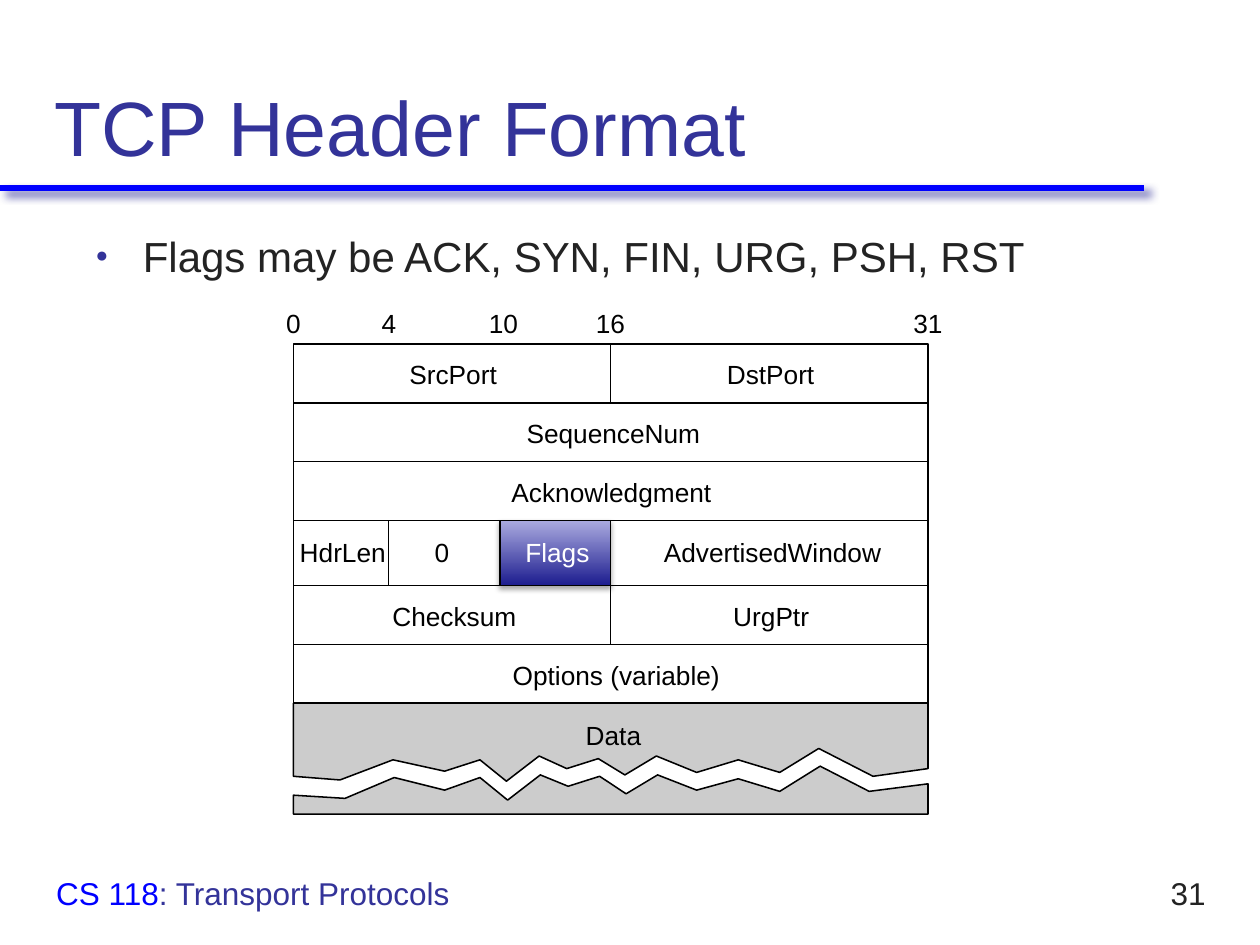
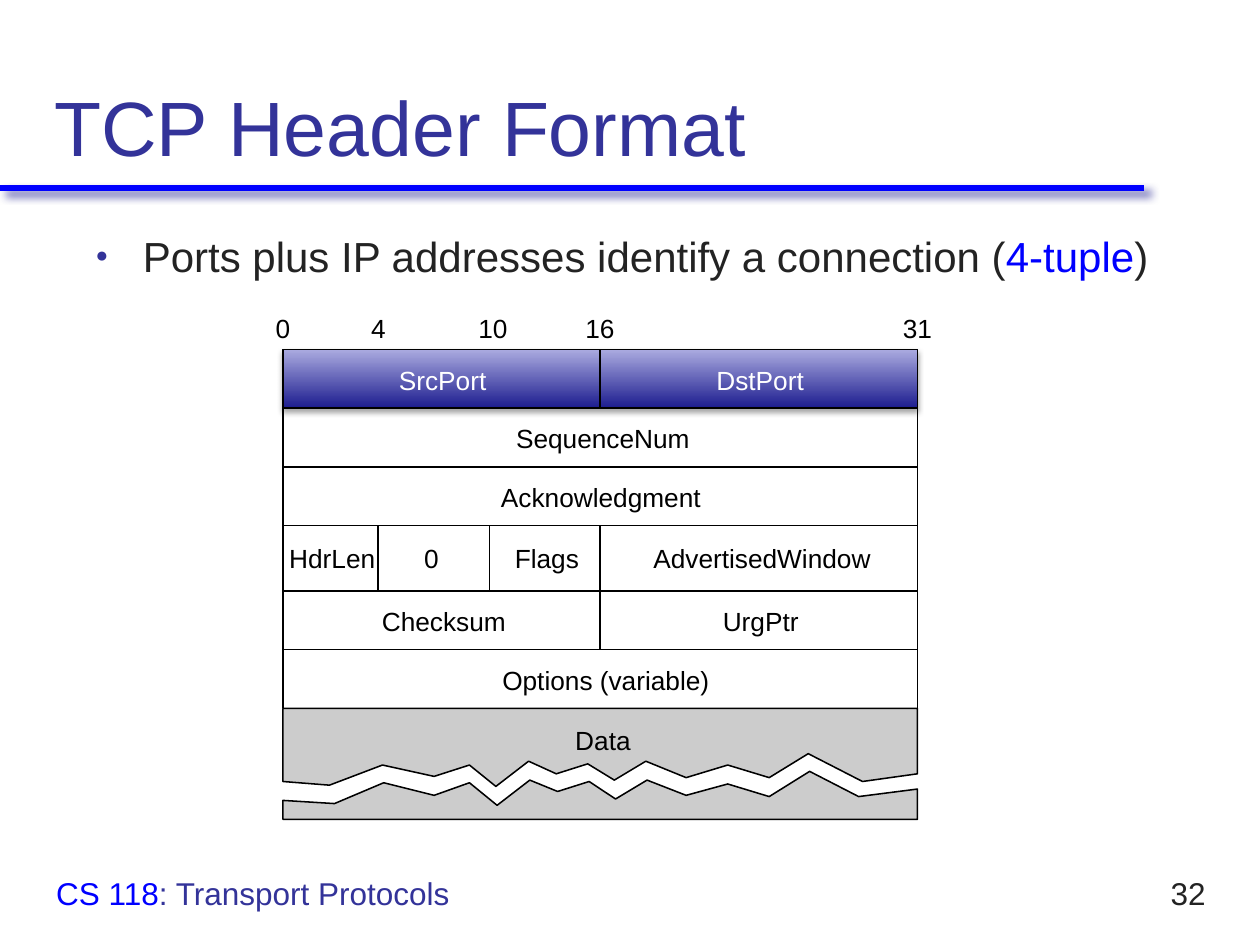
from dataclasses import dataclass
from typing import NamedTuple, Optional

import pptx
import pptx.util
from lxml import etree
from pptx.dml.color import RGBColor
from pptx.enum.shapes import MSO_CONNECTOR, MSO_SHAPE
from pptx.enum.text import MSO_ANCHOR, MSO_AUTO_SIZE, PP_ALIGN
from pptx.oxml.ns import qn

Pt = pptx.util.Pt


@dataclass(frozen=True)
class Theme:
    font: str = "Arial"
    title: str = "333399"
    accent: str = "0000FF"
    body: str = "232323"
    ink: str = "000000"
    light: str = "FFFFFF"
    data: str = "CCCCCC"
    grad_dark: str = "1D1D8F"
    grad_light: str = "ABABE0"
    box_line: str = "272781"
    title_size: float = 44
    body_size: float = 24
    footer_size: float = 18
    label_size: float = 15
    grid_line: float = 0.88


class Shadow(NamedTuple):
    color: str
    alpha: int
    blur: float
    dist: float
    angle: int


class Run(NamedTuple):
    text: str
    color: str


class Field(NamedTuple):
    """A header field: text left edge and width, measured from the grid."""
    text: str
    row: int
    x: float
    width: float


class Tick(NamedTuple):
    text: str
    x: float
    width: float


class Divider(NamedTuple):
    bit: int
    first_row: int
    end_row: int


class Highlight(NamedTuple):
    row: int
    start_bit: int
    end_bit: int
    fields: tuple[str, ...]


class Page(NamedTuple):
    number: int
    bullet: tuple[Run, ...]
    left: float
    top: float
    highlight: Highlight


T = Theme()
RULE_SHADOW = Shadow(T.title, 75, 5, 4.2, 45)
BOX_SHADOW = Shadow(T.ink, 35, 3.1, 1.8, 90)

GRID_W = 362.6
BIT_X = {0: 0, 4: 54.4, 10: 118, 16: GRID_W / 2, 32: GRID_W}
ROW_H = [33.6, 33.6, 33.6, 37.2, 33.6, 33.6, 37.2]
ROW_Y = [sum(ROW_H[:i]) for i in range(len(ROW_H))]
GRID_H = ROW_Y[-1]
DATA_H = 63.4

FIELDS = [
    Field("SrcPort", 0, 66.3, 55), Field("DstPort", 0, 247.7, 55),
    Field("SequenceNum", 1, 133.2, 104),
    Field("Acknowledgment", 2, 124.6, 117),
    Field("HdrLen", 3, 3.6, 55), Field("0", 3, 80.6, 15),
    Field("Flags", 3, 132.5, 42), Field("AdvertisedWindow", 3, 211.7, 127),
    Field("Checksum", 4, 56.5, 76), Field("UrgPtr", 4, 251.3, 49),
    Field("Options (variable)", 5, 125.3, 120),
    Field("Data", 6, 167, 37.5),
]
TICKS = [Tick("0", -4.2, 15), Tick("4", 50.4, 15), Tick("10", 111.6, 23),
         Tick("16", 172.8, 23), Tick("31", 354.2, 23)]
DIVIDERS = [Divider(16, 0, 1), Divider(16, 3, 5), Divider(10, 3, 4), Divider(4, 3, 4)]

# Torn edges of the data block, right to left, measured from its top
UPPER_TEAR = [(GRID_W, 37.4), (331.2, 41.8), (300.2, 25.9), (277.9, 39.6), (254.2, 32.4),
              (230.4, 39.6), (207.4, 30.2), (189.4, 41), (174.2, 31.7), (156.2, 37.4),
              (140.4, 30.2), (121.7, 44.6), (106.6, 32.4), (86.4, 38.9), (56.9, 32.4),
              (26.6, 43.9), (0, 41.8)]
LOWER_TEAR = [(GRID_W, 46.1), (329, 50.4), (301, 36), (277.9, 50.4), (254.2, 43.2),
              (230.4, 49.7), (208.1, 41), (190.1, 51.8), (175, 41.8), (157, 47.5),
              (141.1, 41), (122.4, 55.4), (106.6, 42.5), (86.4, 49.7), (57.6, 42.5),
              (29.5, 54.4), (0, 52.6)]

PAGES = [
    Page(31, (Run("Flags may be ACK, SYN, FIN, URG, PSH, RST", T.body),),
         167.7, 196.6, Highlight(3, 10, 16, ("Flags",))),
    Page(32, (Run("Ports plus IP addresses identify a connection (", T.body),
              Run("4-tuple", T.accent), Run(")", T.body)),
         161.7, 199.6, Highlight(0, 0, 32, ("SrcPort", "DstPort"))),
]


def rgb(color: str) -> RGBColor:
    return RGBColor.from_string(color)


def set_shadow(sp, shadow: Optional[Shadow] = None) -> None:
    """Replace the style's shadow by the given one, or by none."""
    effects = etree.SubElement(sp._element.spPr, qn("a:effectLst"))
    if shadow:
        outer = etree.SubElement(
            effects, qn("a:outerShdw"), blurRad=str(Pt(shadow.blur)), dist=str(Pt(shadow.dist)),
            dir=str(shadow.angle * 60000), algn="ctr", rotWithShape="0")
        color = etree.SubElement(outer, qn("a:srgbClr"), val=shadow.color)
        etree.SubElement(color, qn("a:alpha"), val=str(shadow.alpha * 1000))


def add_text(s, x: float, y: float, w: float, h: float, runs: tuple[Run, ...], size: float,
             anchor=MSO_ANCHOR.TOP, wrap: bool = True):
    sp = s.shapes.add_textbox(Pt(x), Pt(y), Pt(w), Pt(h))
    tf = sp.text_frame
    tf.word_wrap = wrap
    tf.vertical_anchor = anchor
    for run in runs:
        r = tf.paragraphs[0].add_run()
        r.text = run.text
        r.font.name = T.font
        r.font.size = Pt(size)
        r.font.color.rgb = rgb(run.color)
    return tf


def add_label(s, x: float, y: float, w: float, text: str, color: str) -> None:
    tf = add_text(s, x, y, w, 20, (Run(text, color),), T.label_size, wrap=False)
    tf.margin_left = tf.margin_top = tf.margin_right = tf.margin_bottom = 0
    tf.auto_size = MSO_AUTO_SIZE.SHAPE_TO_FIT_TEXT


def add_line(s, x1: float, y1: float, x2: float, y2: float, color: str = T.ink,
             width: float = T.grid_line, shadow: Optional[Shadow] = None):
    line = s.shapes.add_connector(MSO_CONNECTOR.STRAIGHT, Pt(x1), Pt(y1), Pt(x2), Pt(y2))
    line.line.color.rgb = rgb(color)
    line.line.width = Pt(width)
    set_shadow(line, shadow)
    return line


def add_outline(s, x: float, y: float, points: list[tuple[float, float]],
                fill: Optional[str] = None) -> None:
    """Draw a filled area without a line, or an unfilled line."""
    spots = [(Pt(x + dx), Pt(y + dy)) for dx, dy in points]
    builder = s.shapes.build_freeform(*spots[0])
    builder.add_line_segments(spots[1:], close=fill is not None)
    sp = builder.convert_to_shape()
    if fill:
        sp.fill.solid()
        sp.fill.fore_color.rgb = rgb(fill)
        sp.line.fill.background()
    else:
        sp.fill.background()
        sp.line.color.rgb = rgb(T.ink)
        sp.line.width = Pt(T.grid_line)
    set_shadow(sp)


def add_bullet(p) -> None:
    pPr = p._p.get_or_add_pPr()
    pPr.set("marL", str(Pt(27)))
    pPr.set("indent", str(-Pt(27)))
    color = etree.SubElement(pPr, qn("a:buClr"))
    etree.SubElement(color, qn("a:srgbClr"), val=T.title)
    etree.SubElement(pPr, qn("a:buSzPct"), val="50000")
    etree.SubElement(pPr, qn("a:buFont"), typeface=T.font)
    etree.SubElement(pPr, qn("a:buChar"), char="●")


def add_frame(s, page: Page) -> None:
    """Draw the title, its rule, the bullet and the footer."""
    add_line(s, 0, 107.3, 653.8, 107.3, T.accent, 3.5, RULE_SHADOW)
    add_text(s, 24, 12, 672, 90, (Run("TCP Header Format", T.title),), T.title_size,
             MSO_ANCHOR.BOTTOM)
    tf = add_text(s, 47.5, 128, 624, 346, page.bullet, T.body_size)
    add_bullet(tf.paragraphs[0])
    tf = add_text(s, 648, 492, 48, 36, (Run(str(page.number), T.body),), T.footer_size,
                  MSO_ANCHOR.MIDDLE, wrap=False)
    tf.paragraphs[0].alignment = PP_ALIGN.RIGHT
    add_text(s, 25, 492, 420, 36,
             (Run("CS 118", T.accent), Run(": Transport Protocols", T.title)),
             T.footer_size, MSO_ANCHOR.MIDDLE)


def add_highlight(s, page: Page):
    mark = page.highlight
    left, right = BIT_X[mark.start_bit], BIT_X[mark.end_bit]
    box = s.shapes.add_shape(MSO_SHAPE.RECTANGLE, Pt(page.left + left),
                             Pt(page.top + ROW_Y[mark.row]), Pt(right - left),
                             Pt(ROW_H[mark.row]))
    box.fill.gradient()
    box.fill.gradient_angle = 90
    for stop, color in zip(box.fill.gradient_stops, (T.grad_dark, T.grad_light)):
        stop.color.rgb = rgb(color)
    box.line.color.rgb = rgb(T.box_line)
    box.line.width = Pt(0.75)
    set_shadow(box, BOX_SHADOW)
    return box


def add_header_diagram(s, page: Page) -> None:
    left, top, mark = page.left, page.top, page.highlight
    box = add_highlight(s, page)
    for edge_y, tear in ((0, UPPER_TEAR), (DATA_H, LOWER_TEAR)):
        outline = [(0, edge_y), (GRID_W, edge_y), *tear, (0, edge_y)]
        for fill in (T.data, None):
            add_outline(s, left, top + GRID_H, outline, fill)
    for field in FIELDS:
        color = T.light if field.text in mark.fields else T.ink
        add_label(s, left + field.x, top + ROW_Y[field.row] + ROW_H[field.row] / 4,
                  field.width, field.text, color)

    add_outline(s, left, top, [(GRID_W, GRID_H), (GRID_W, 0), (0, 0), (0, GRID_H)])
    for y in ROW_Y[1:]:
        add_line(s, left, top + y, left + GRID_W, top + y)
    box_middle = (BIT_X[mark.start_bit] + BIT_X[mark.end_bit]) / 2
    for bit, first_row, end_row in DIVIDERS:
        x = BIT_X[bit]
        line = add_line(s, left + x, top + ROW_Y[first_row], left + x, top + ROW_Y[end_row])
        if x == box_middle and first_row == mark.row:
            line.begin_connect(box, 0)
            line.end_connect(box, 2)
    for tick in TICKS:
        add_label(s, left + tick.x, top - 20.9, tick.width, tick.text, T.ink)


def main() -> None:
    prs = pptx.Presentation()
    prs.slide_width, prs.slide_height = Pt(720), Pt(540)
    for page in PAGES:
        s = prs.slides.add_slide(prs.slide_layouts[6])
        add_frame(s, page)
        add_header_diagram(s, page)
    prs.save("out.pptx")


if __name__ == "__main__":
    main()
